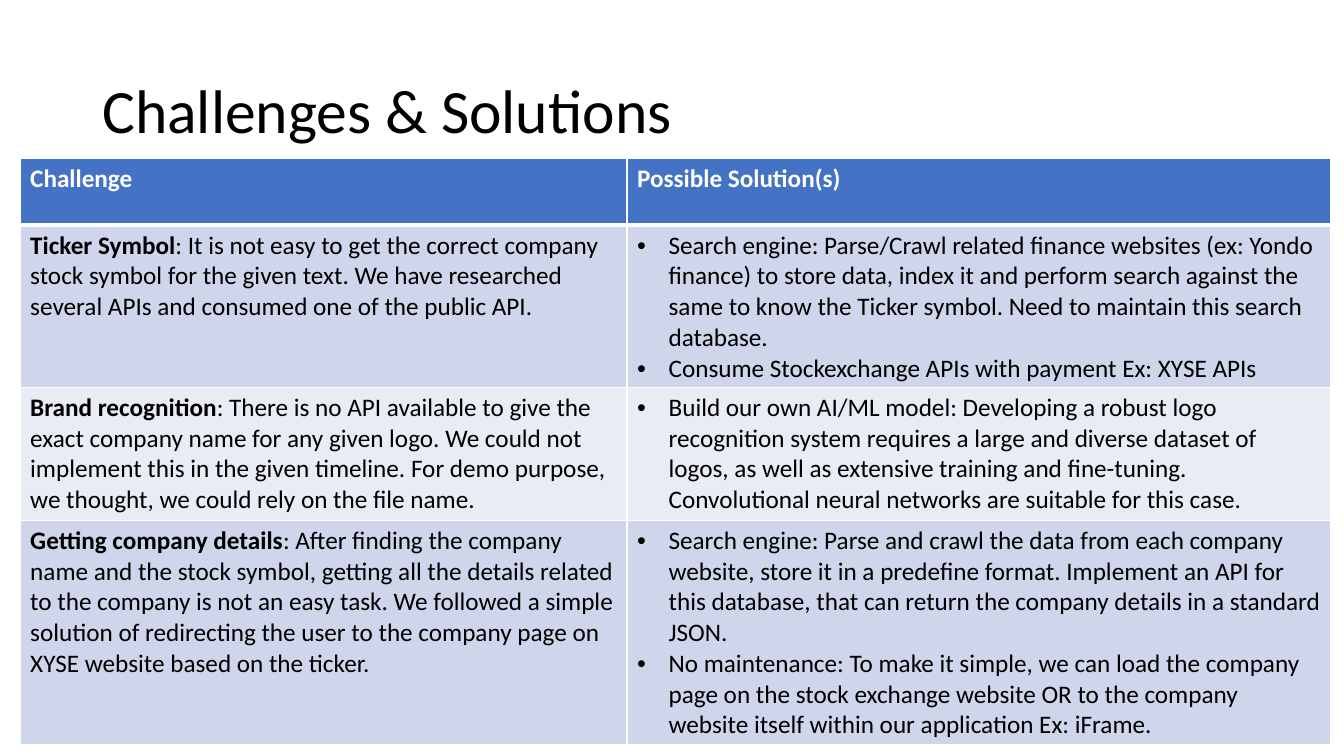
import pptx
import pptx.dml.color
import pptx.enum.text
import pptx.oxml.ns
import pptx.util
from lxml import etree

Pt = pptx.util.Pt
RGBColor = pptx.dml.color.RGBColor
qn = pptx.oxml.ns.qn

BLACK = RGBColor(0x00, 0x00, 0x00)
WHITE = RGBColor(0xFF, 0xFF, 0xFF)
HEADER_BLUE = RGBColor(0x44, 0x72, 0xC4)
BAND_DARK = RGBColor(0xCF, 0xD5, 0xEA)
BAND_LIGHT = RGBColor(0xE9, 0xEB, 0xF5)
FONT = "Calibri"

HEADINGS = ["Challenge ", "Possible Solution(s)"]
COLUMN_WIDTHS = [433.5, 502.5]
ROW_HEIGHTS = [47.5, 116, 95, 160]

# Each entry: topic, explanation, possible solutions
CHALLENGES = [
    ("Ticker Symbol",
     ": It is not easy to get the correct company stock symbol for the given "
     "text. We have researched several APIs and consumed one of the public API.",
     ["Search engine: Parse/Crawl related finance websites (ex: Yondo finance) "
      "to store data, index it and perform search against the same to know the "
      "Ticker symbol. Need to maintain this search database.",
      "Consume Stockexchange APIs with payment Ex: XYSE APIs"]),
    ("Brand recognition",
     ": There is no API available to give the exact company name for any given "
     "logo. We could not implement this in the given timeline. For demo "
     "purpose, we thought, we could rely on the file name.",
     ["Build our own AI/ML model: Developing a robust logo recognition system "
      "requires a large and diverse dataset of logos, as well as extensive "
      "training and fine-tuning. Convolutional neural networks are suitable "
      "for this case."]),
    ("Getting company details",
     ": After finding the company name and the stock symbol, getting all the "
     "details related to the company is not an easy task. We followed a simple "
     "solution of redirecting the user to the company page on XYSE website "
     "based on the ticker.",
     ["Search engine: Parse and crawl the data from each company website, "
      "store it in a predefine format. Implement an API for this database, "
      "that can return the company details in a standard JSON.",
      "No maintenance: To make it simple, we can load the company page on the "
      "stock exchange website OR to the company website itself within our "
      "application Ex: iFrame."]),
]


def add_run(paragraph, text, size=18, color=BLACK, bold=False):
    run = paragraph.add_run()
    run.text = text
    run.font.name = FONT
    run.font.size = Pt(size)
    run.font.bold = bold
    run.font.color.rgb = color


def add_title(slide, text):
    title = slide.shapes.add_textbox(Pt(66), Pt(28.75), Pt(828), Pt(104.5))
    frame = title.text_frame
    frame.word_wrap = True
    frame.vertical_anchor = pptx.enum.text.MSO_ANCHOR.MIDDLE
    frame.paragraphs[0].line_spacing = 0.9
    add_run(frame.paragraphs[0], text, size=44)


def style_cell(cell, fill, top=1, bottom=1):
    # Borders come before the fill in the cell properties
    properties = cell._tc.get_or_add_tcPr()
    for side, width in (("L", 1), ("R", 1), ("T", top), ("B", bottom)):
        border = etree.SubElement(properties, qn(f"a:ln{side}"), w=str(Pt(width)))
        border_fill = etree.SubElement(border, qn("a:solidFill"))
        etree.SubElement(border_fill, qn("a:srgbClr"), val=str(WHITE))
    cell.fill.solid()
    cell.fill.fore_color.rgb = fill


def add_bullets(cell, items):
    frame = cell.text_frame
    for index, item in enumerate(items):
        paragraph = frame.add_paragraph() if index else frame.paragraphs[0]
        properties = paragraph._p.get_or_add_pPr()
        properties.set("marL", str(Pt(22.5)))
        properties.set("indent", str(-Pt(22.5)))
        etree.SubElement(properties, qn("a:buFont"), typeface="Arial")
        etree.SubElement(properties, qn("a:buChar"), char="•")
        add_run(paragraph, item)


def add_challenge_table(slide):
    table = slide.shapes.add_table(
        len(ROW_HEIGHTS), len(COLUMN_WIDTHS), Pt(14.4), Pt(113.25),
        Pt(sum(COLUMN_WIDTHS)), Pt(sum(ROW_HEIGHTS))).table
    for column, width in zip(table.columns, COLUMN_WIDTHS):
        column.width = Pt(width)
    for row, height in zip(table.rows, ROW_HEIGHTS):
        row.height = Pt(height)

    # Header row
    for column, heading in enumerate(HEADINGS):
        cell = table.cell(0, column)
        style_cell(cell, HEADER_BLUE, bottom=3)
        add_run(cell.text_frame.paragraphs[0], heading, color=WHITE, bold=True)

    # Banded challenge rows
    for row, (topic, explanation, solutions) in enumerate(CHALLENGES, start=1):
        challenge, solution = table.cell(row, 0), table.cell(row, 1)
        for cell in (challenge, solution):
            style_cell(cell, BAND_DARK if row % 2 else BAND_LIGHT,
                       top=3 if row == 1 else 1)
        paragraph = challenge.text_frame.paragraphs[0]
        add_run(paragraph, topic, bold=True)
        add_run(paragraph, explanation)
        add_bullets(solution, solutions)


def main():
    presentation = pptx.Presentation()
    presentation.slide_width, presentation.slide_height = Pt(960), Pt(540)
    slide = presentation.slides.add_slide(presentation.slide_layouts[6])
    add_title(slide, "Challenges & Solutions")
    add_challenge_table(slide)
    presentation.save("out.pptx")


main()
